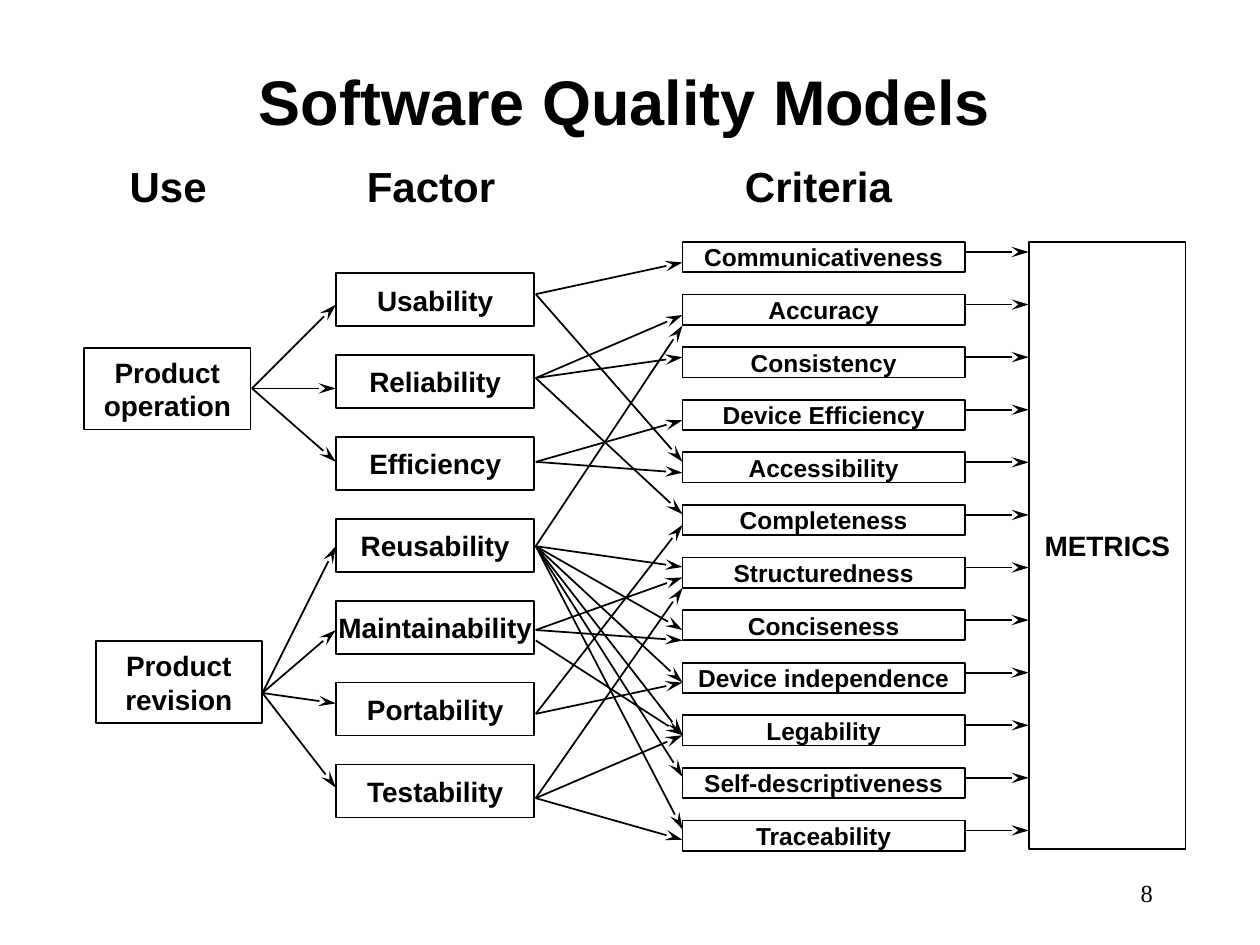
import pptx
import pptx.dml.color
import pptx.enum.shapes
import pptx.enum.text
import pptx.oxml.ns
import pptx.util
from lxml import etree
from pptx.util import Cm

ALIGN = pptx.enum.text.PP_ALIGN
ANCHOR = pptx.enum.text.MSO_ANCHOR
AUTO_SIZE = pptx.enum.text.MSO_AUTO_SIZE


def color(hex_value):
    """Return the RGB colour for a hex string."""
    return pptx.dml.color.RGBColor.from_string(hex_value)


def write(shape, text, size, font="Arial", bold=True, align=ALIGN.CENTER):
    """Put formatted text into a shape, one paragraph a line."""
    frame = shape.text_frame
    frame.text = text
    frame.vertical_anchor = ANCHOR.MIDDLE
    frame.word_wrap = False
    for paragraph in frame.paragraphs:
        paragraph.alignment = align
        paragraph.font.name = font
        paragraph.font.size = pptx.util.Pt(size)
        paragraph.font.bold = bold
        paragraph.font.color.rgb = color("000000")


deck = pptx.Presentation()
deck.slide_width, deck.slide_height = Cm(25.4), Cm(19.05)
slide = deck.slides.add_slide(deck.slide_layouts[5])

title = slide.shapes.title
title.left, title.top, title.width, title.height = Cm(2.33), Cm(1.06), Cm(20.53), Cm(2.12)
write(title, "Software Quality Models", 36)
title.text_frame.word_wrap = True
title.text_frame.auto_size = AUTO_SIZE.NONE
title.text_frame.paragraphs[0].line_spacing = 0.9

page_number = slide.shapes.add_textbox(Cm(18.2), Cm(17.36), Cm(5.29), Cm(1.27))
write(page_number, "8", 14, "Times New Roman", False, ALIGN.RIGHT)
page_number.text_frame.word_wrap = True

# Column headings: text, left, width
for text, left, width in [("Use", 2.36, 2.06), ("Factor", 7.14, 3.1), ("Criteria", 14.76, 3.48)]:
    heading = slide.shapes.add_textbox(Cm(left), Cm(3.12), Cm(width), Cm(1.27))
    write(heading, text, 24)
    heading.text_frame.vertical_anchor = ANCHOR.TOP
    heading.text_frame.auto_size = AUTO_SIZE.SHAPE_TO_FIT_TEXT

criteria = ["Communicativeness", "Accuracy", "Consistency", "Device Efficiency",
            "Accessibility", "Completeness", "Structuredness", "Conciseness",
            "Device independence", "Legability", "Self-descriptiveness", "Traceability"]
factors = ["Usability", "Reliability", "Efficiency", "Reusability",
           "Maintainability", "Portability", "Testability"]
criteria_pitch, factor_pitch = 1.06, 1.65

# Boxes: text, size, left, top, width, height
boxes = [(name, 14, 13.76, 4.88 + i * criteria_pitch, 5.69, 0.61)
         for i, name in enumerate(criteria)]
boxes += [(name, 16, 6.78, 5.51 + i * factor_pitch, 3.99, 1.07)
          for i, name in enumerate(factors)]
boxes += [("Product\noperation", 16, 1.7, 7.01, 3.35, 1.65),
          ("Product\nrevision", 16, 1.93, 12.93, 3.35, 1.65),
          ("METRICS", 16, 20.75, 4.88, 3.15, 12.24)]
for text, size, left, top, width, height in boxes:
    box = slide.shapes.add_shape(pptx.enum.shapes.MSO_SHAPE.RECTANGLE,
                                 Cm(left), Cm(top), Cm(width), Cm(height))
    box.shadow.inherit = False
    box.fill.solid()
    box.fill.fore_color.rgb = color("FFFFFF")
    box.line.color.rgb = color("000000")
    box.line.width = pptx.util.Pt(1)
    write(box, text, size)

# Fans of arrows: start x, start y, end x, heights of the ends
fans = [
    (5.08, 7.83, 6.77, [6.14, 7.83, 9.31]),
    (5.29, 13.97, 6.77, [11.01, 12.7, 14.18, 15.88]),
    (10.8, 5.93, 13.76, [5.29, 9.31]),
    (10.8, 7.62, 13.76, [6.35, 7.2, 10.37]),
    (10.8, 9.31, 13.76, [8.47, 9.53]),
    (10.8, 11.01, 13.76, [11.43, 12.7, 13.76, 14.82, 15.66, 16.72, 6.56]),
    (10.8, 12.7, 13.76, [11.64, 12.91]),
    (10.8, 12.91, 13.76, [14.82]),
    (10.8, 14.39, 13.76, [10.58, 13.76]),
    (10.8, 16.09, 13.76, [11.85, 14.82, 16.93]),
]
for i in range(len(criteria)):
    level = 5.08 + i * criteria_pitch
    fans.append((19.47, level, 20.74, [level]))

for start_x, start_y, end_x, ends in fans:
    for end_y in ends:
        arrow = slide.shapes.add_connector(pptx.enum.shapes.MSO_CONNECTOR.STRAIGHT,
                                           Cm(start_x), Cm(start_y), Cm(end_x), Cm(end_y))
        arrow.line.color.rgb = color("000000")
        arrow.line.width = pptx.util.Pt(1)
        outline = arrow.line._get_or_add_ln()
        etree.SubElement(outline, pptx.oxml.ns.qn("a:tailEnd"), type="stealth", w="med", len="lg")
        etree.SubElement(arrow._element.spPr, pptx.oxml.ns.qn("a:effectLst"))

deck.save("out.pptx")
